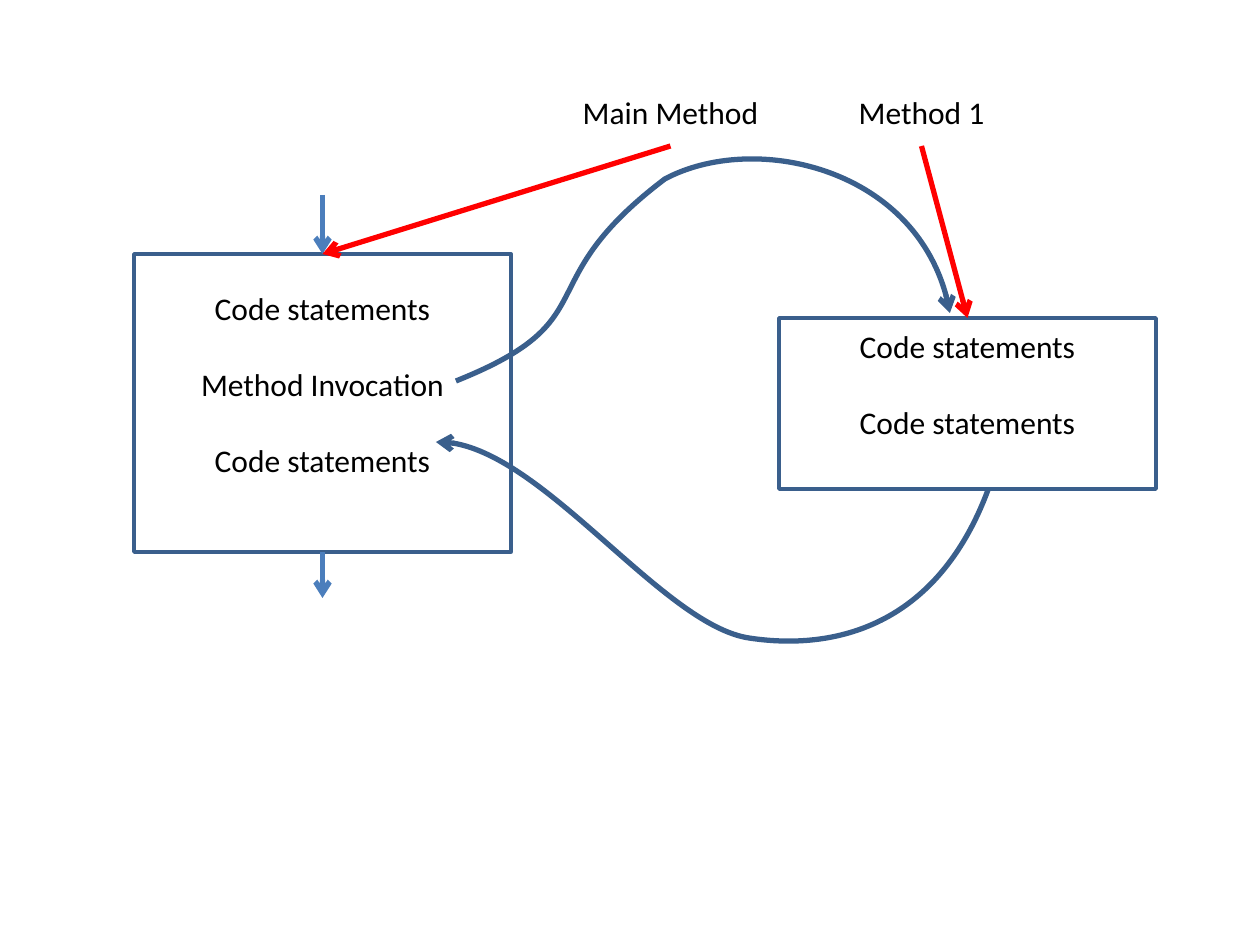
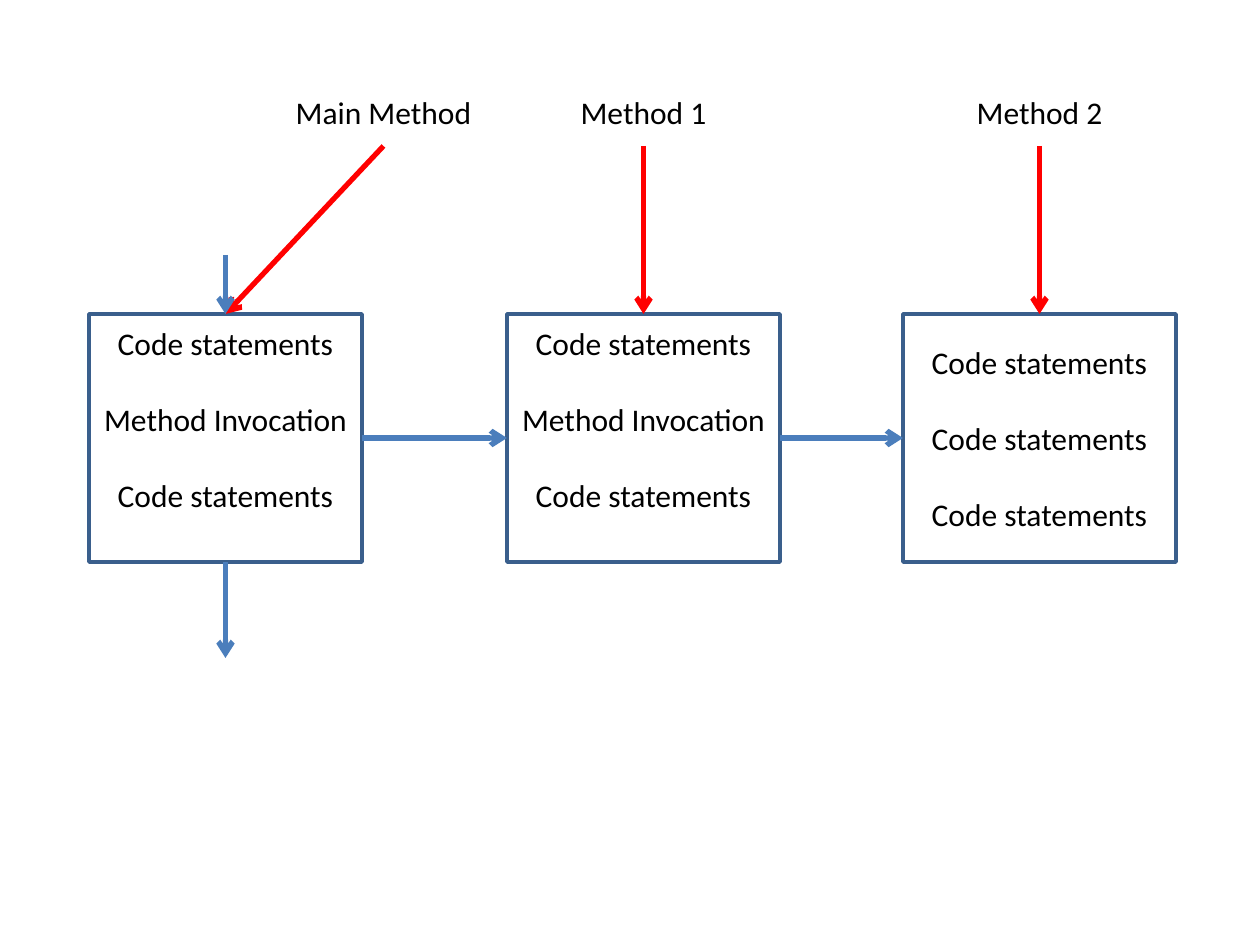
from pptx import Presentation
from pptx.dml.color import RGBColor
from pptx.enum.shapes import MSO_CONNECTOR as Connector, MSO_SHAPE as Preset
from pptx.enum.text import MSO_ANCHOR as Anchor, PP_ALIGN as Align
from pptx.util import Pt
from lxml.etree import SubElement
from pptx.oxml.ns import qn

SCALE = 914400 / 126
FONT = "Calibri"
TEXT_SIZE = 18
LINE_SPACE = 22
BLACK, OUTLINE, FLOW, POINTER = "000000", "3A5F8C", "4B7EBC", "FF0000"
TOP, LEFT, BOTTOM, RIGHT = range(4)
CODE, CALL = "Code statements", "Method Invocation"
LABEL_TOP, LABEL_WIDTH, LABEL_HEIGHT = 77, 273, 69


def px(length):
    return round(length * SCALE)


def color(hex_string):
    return RGBColor.from_string(hex_string)


def add_box(page, area, lines, outline=None, bottom_gap=0):
    box = page.shapes.add_shape(Preset.FLOWCHART_PROCESS, *map(px, area))
    box.shadow.inherit = False
    box.fill.background()
    if outline:
        box.line.color.rgb = color(outline)
        box.line.width = Pt(2)
    else:
        box.line.fill.background()
    frame = box.text_frame
    frame.word_wrap = True
    frame.vertical_anchor = Anchor.MIDDLE
    frame.margin_bottom += Pt(bottom_gap)
    frame.text = "\n".join(lines)
    for index, para in enumerate(frame.paragraphs):
        para.alignment = Align.CENTER
        para.space_before = Pt(LINE_SPACE if index else 0)
        for span in para.runs:
            span.font.name = FONT
            span.font.size = Pt(TEXT_SIZE)
            span.font.color.rgb = color(BLACK)
    return box


def add_method(page, area, lines, bottom_gap=LINE_SPACE):
    return add_box(page, area, lines, OUTLINE, bottom_gap)


def add_label(page, left, name, method):
    label = add_box(page, (left, LABEL_TOP, LABEL_WIDTH, LABEL_HEIGHT), [name])
    join(page, label, BOTTOM, method, TOP, POINTER)


def style_arrow(line, hex_string):
    line.color.rgb = color(hex_string)
    line.width = Pt(3)
    SubElement(line._get_or_add_ln(), qn("a:tailEnd"), type="arrow")


def add_arrow(page, start, end, hex_string):
    arrow = page.shapes.add_connector(Connector.STRAIGHT, *start, *end)
    style_arrow(arrow.line, hex_string)
    SubElement(arrow._element.spPr, qn("a:effectLst"))
    return arrow


def side_middle(box, side):
    across = {LEFT: 0, RIGHT: box.width}.get(side, box.width // 2)
    down = {TOP: 0, BOTTOM: box.height}.get(side, box.height // 2)
    return box.left + across, box.top + down


def join(page, source, source_side, target, target_side, hex_string):
    arrow = add_arrow(page, side_middle(source, source_side),
                      side_middle(target, target_side), hex_string)
    arrow.begin_connect(source, source_side)
    arrow.end_connect(target, target_side)


def add_entry_and_exit(page, box, entry_length, exit_length):
    x, top = side_middle(box, TOP)
    bottom = side_middle(box, BOTTOM)
    entry = add_arrow(page, (x, top - px(entry_length)), (x, top), FLOW)
    entry.end_connect(box, TOP)
    leaving = add_arrow(page, bottom, (x, bottom[1] + px(exit_length)), FLOW)
    leaving.begin_connect(box, BOTTOM)


def curve_points(controls, steps=24):
    for step in range(steps + 1):
        t = step / steps
        weights = (1 - t) ** 3, 3 * t * (1 - t) ** 2, 3 * t * t * (1 - t), t ** 3
        yield tuple(round(sum(w * point[axis] for w, point in zip(weights, controls)))
                    for axis in (0, 1))


def add_curve(page, points):
    points = [(px(x), px(y)) for x, y in points]
    starts = range(0, len(points) - 1, 3)
    outline = [point for start in starts
               for point in curve_points(points[start:start + 4])]
    builder = page.shapes.build_freeform(*outline[0])
    builder.add_line_segments(outline[1:], close=False)
    curve = builder.convert_to_shape()
    curve.shadow.inherit = False
    curve.fill.background()
    style_arrow(curve.line, OUTLINE)

    route = curve._element.find(".//" + qn("a:path"))
    for segment in list(route):
        route.remove(segment)
    segments = [("a:moveTo", points[:1])]
    segments += [("a:cubicBezTo", points[start + 1:start + 4]) for start in starts]
    for tag, corners in segments:
        segment = SubElement(route, qn(tag))
        for x, y in corners:
            SubElement(segment, qn("a:pt"), x=str(x - curve.left), y=str(y - curve.top))


def build_call_and_return(page):
    main = add_method(page, (134, 254, 377, 298), [CODE, CALL, CODE])
    method = add_method(page, (779, 318, 377, 171), [CODE, CODE])
    add_entry_and_exit(page, main, 59, 46)
    add_label(page, 534, "Main Method", main)
    add_label(page, 785, "Method 1", method)
    add_curve(page, [(988, 490), (937, 627), (834, 651), (749, 638),
                     (664, 625), (534, 438), (436, 442)])
    add_curve(page, [(456, 381), (611, 319), (525, 285), (665, 179),
                     (753, 132), (925, 169), (950, 313)])


def build_call_chain(page):
    top, width, height = 314, 273, 248
    columns = [
        (89, 247, "Main Method", [CODE, CALL, CODE], LINE_SPACE),
        (507, 507, "Method 1", [CODE, CALL, CODE], LINE_SPACE),
        (903, 903, "Method 2", [CODE, CODE, CODE], 0),
    ]
    methods = []
    for left, label_left, name, lines, bottom_gap in columns:
        method = add_method(page, (left, top, width, height), lines, bottom_gap)
        add_label(page, label_left, name, method)
        methods.append(method)
    for caller, called in zip(methods, methods[1:]):
        join(page, caller, RIGHT, called, LEFT, FLOW)
    add_entry_and_exit(page, methods[0], 59, 96)


deck = Presentation()
deck.slide_width, deck.slide_height = px(1260), px(945)
for build in (build_call_and_return, build_call_chain):
    build(deck.slides.add_slide(deck.slide_layouts[6]))
deck.save("out.pptx")
